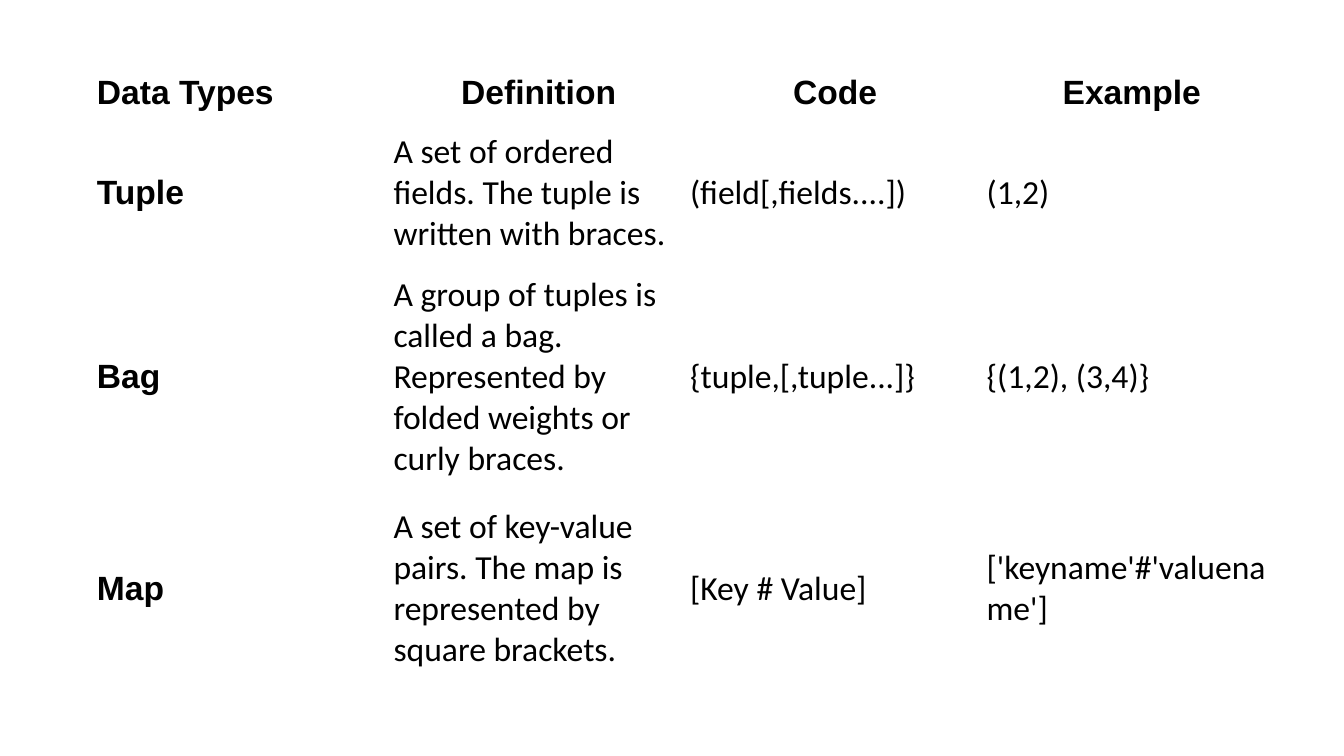
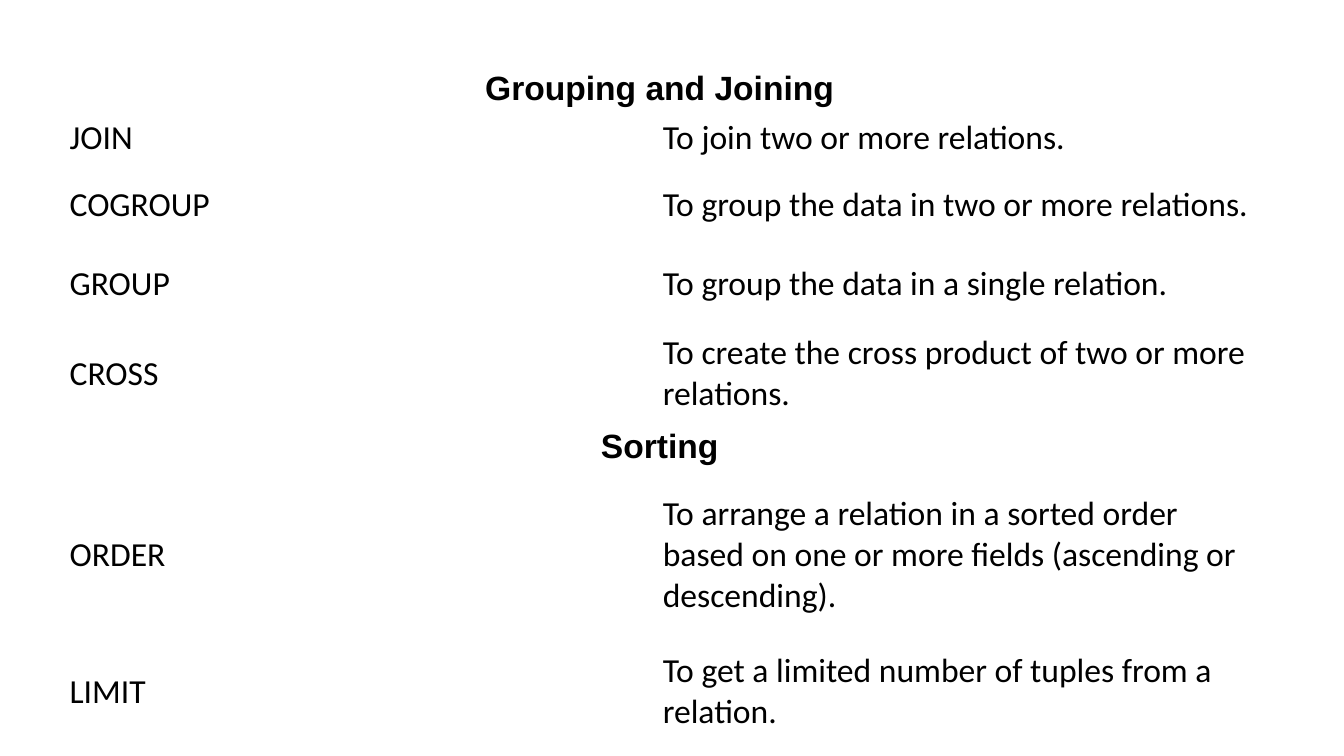
"""Build two slides of tables on data types and relational operators."""
from pptx import Presentation
from pptx.dml.color import RGBColor
from pptx.enum.text import MSO_ANCHOR, PP_ALIGN
from pptx.util import Pt

LEFT, CENTER = PP_ALIGN.LEFT, PP_ALIGN.CENTER
MIDDLE = MSO_ANCHOR.MIDDLE
BLACK = RGBColor(0x00, 0x00, 0x00)
WHITE = RGBColor(0xFF, 0xFF, 0xFF)
HEAD_FONT, BODY_FONT = "Arial", "Calibri"
FONT_SIZE = 24
MARGIN = 2.25
TABLE_WIDTH = 847.4
BLANK_LAYOUT = 6

DATA_TYPES = [
    (31.5, ["Data Types", "Definition", "Code", "Example"]),
    (111.6, ["Tuple", "A set of ordered fields. The tuple is written with braces.",
             "(field[,fields....])", "(1,2)"]),
    (151.5, ["Bag", "A group of tuples is called a bag. Represented by folded "
             "weights or curly braces.",
             "{tuple,[,tuple...]}", "{(1,2), (3,4)}"]),
    (151.5, ["Map", "A set of key-value pairs. The map is represented by square "
             "brackets.",
             "[Key # Value]", "['keyname'#'valuename']"]),
]
OPERATORS = [
    (23, ["Grouping and Joining"]),
    (39.6, ["JOIN", "To join two or more relations."]),
    (56.2, ["COGROUP", "To group the data in two or more relations."]),
    (56.2, ["GROUP", "To group the data in a single relation."]),
    (72.8, ["CROSS", "To create the cross product of two or more relations."]),
    (23, ["Sorting"]),
    (123, ["ORDER", "To arrange a relation in a sorted order based on one or "
           "more fields (ascending or descending)."]),
    (72.8, ["LIMIT", "To get a limited number of tuples from a relation."]),
]


def write_cell(cell, text, heading, align):
    """Fill one table cell with text in the heading or body style."""
    cell.text = text
    cell.vertical_anchor = MIDDLE
    cell.margin_left = cell.margin_right = Pt(MARGIN)
    cell.margin_top = cell.margin_bottom = Pt(MARGIN)
    cell.fill.solid()
    cell.fill.fore_color.rgb = WHITE
    p = cell.text_frame.paragraphs[0]
    p.alignment = align
    font = p.runs[0].font
    font.name = HEAD_FONT if heading else BODY_FONT
    font.size = Pt(FONT_SIZE)
    font.bold = heading
    font.color.rgb = BLACK


def add_plain_table(s, left, top, rows, cols, head_row=False, head_col=False):
    """Add a table without banding; a row of one text spans all columns."""
    height = sum(row_height for row_height, _ in rows)
    table = s.shapes.add_table(len(rows), cols, Pt(left), Pt(top),
                               Pt(TABLE_WIDTH), Pt(height)).table
    table.first_row = table.horz_banding = False
    for column in table.columns:
        column.width = Pt(TABLE_WIDTH / cols)
    for i, (row_height, texts) in enumerate(rows):
        table.rows[i].height = Pt(row_height)
        section = len(texts) == 1
        if section:
            table.cell(i, 0).merge(table.cell(i, cols - 1))
        for j, text in enumerate(texts):
            in_head_row = head_row and i == 0
            in_head_col = head_col and j == 0
            heading = section or in_head_row or in_head_col
            align = CENTER if heading and not in_head_col else LEFT
            write_cell(table.cell(i, j), text, heading, align)


def main():
    """Build both slides and save the file."""
    prs = Presentation()
    prs.slide_width, prs.slide_height = Pt(960), Pt(540)
    layout = prs.slide_layouts[BLANK_LAYOUT]
    add_plain_table(prs.slides.add_slide(layout), 67, 50.4, DATA_TYPES, 4,
                    head_row=True, head_col=True)
    add_plain_table(prs.slides.add_slide(layout), 47.5, 47.5, OPERATORS, 2)
    prs.save("out.pptx")


if __name__ == "__main__":
    main()
